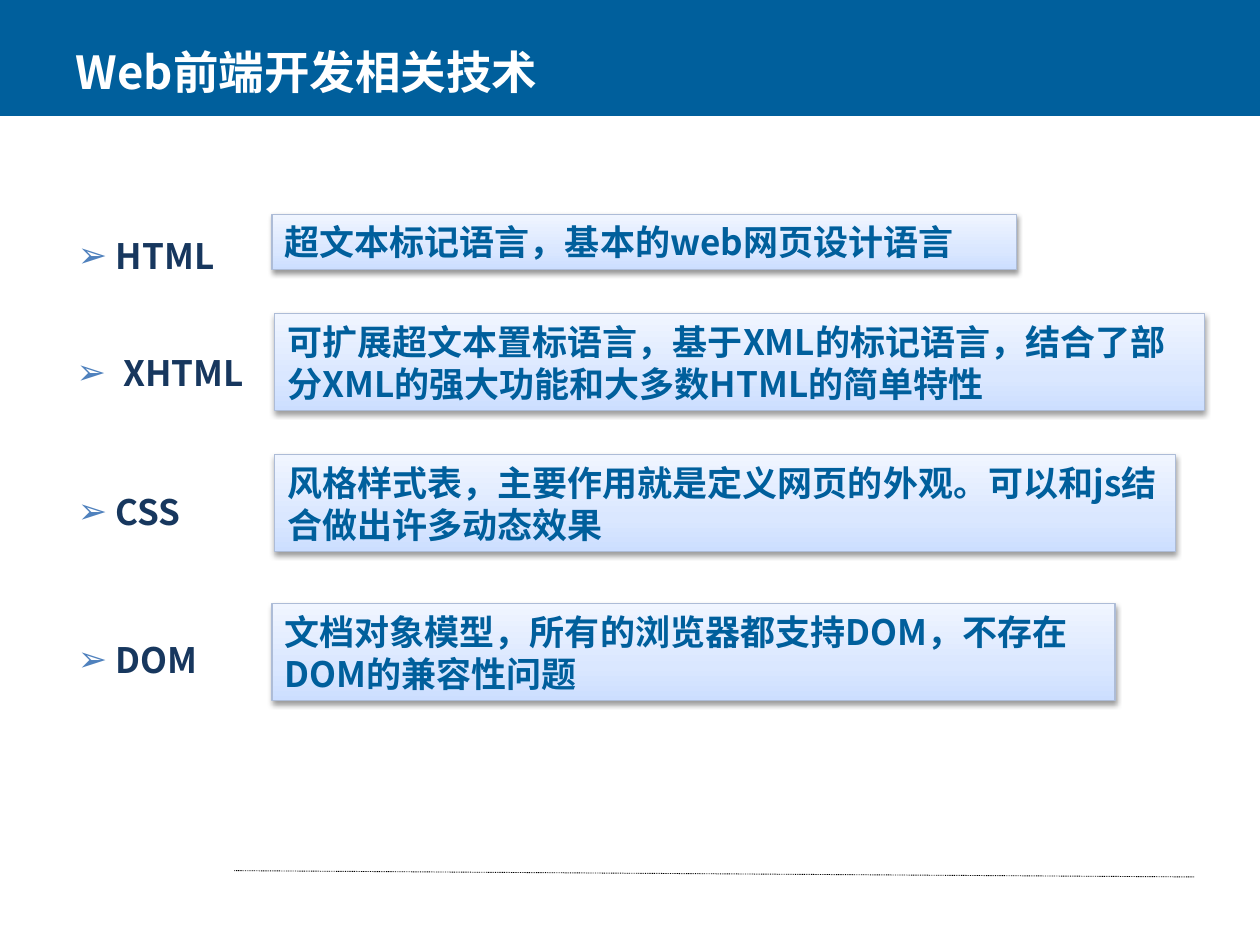
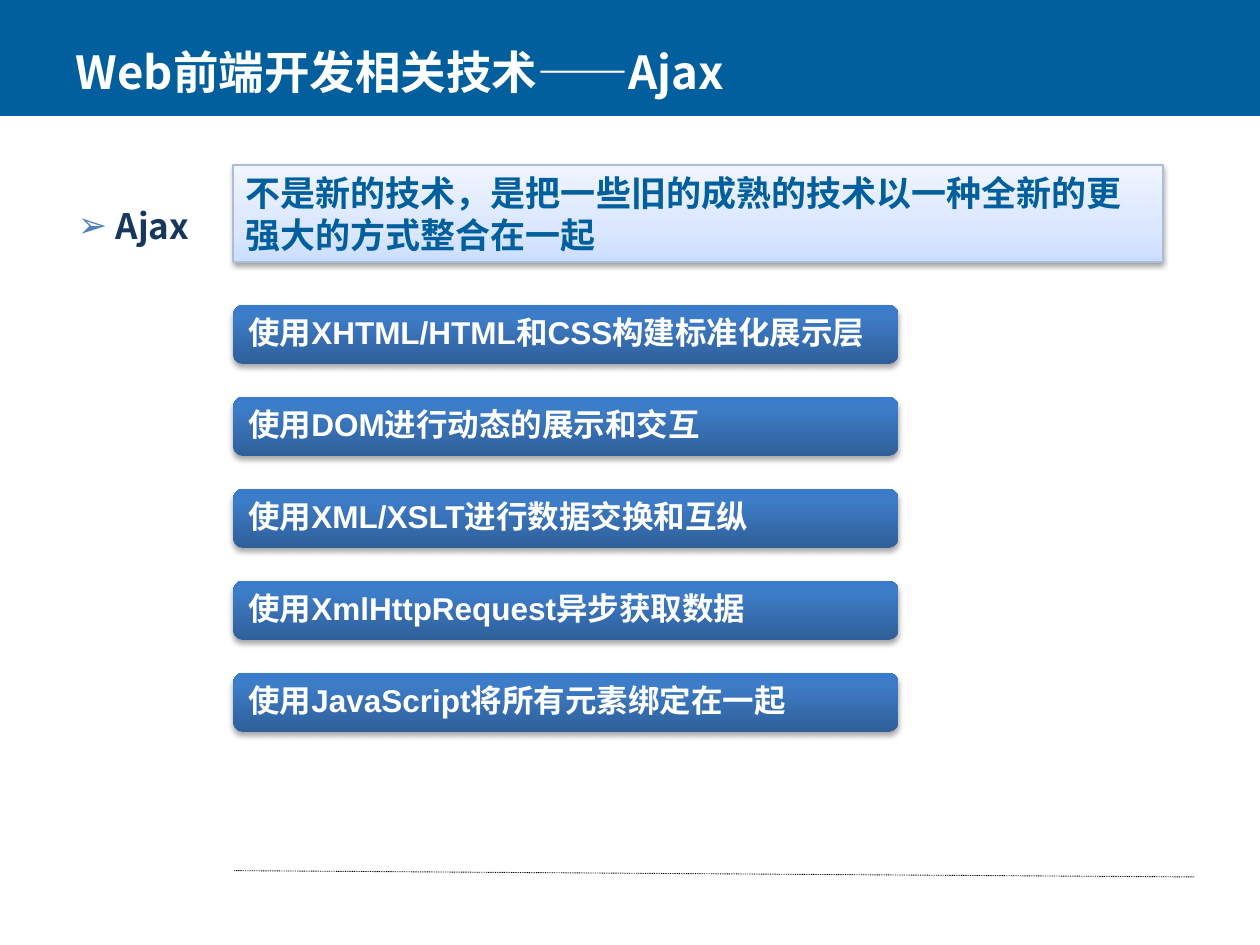
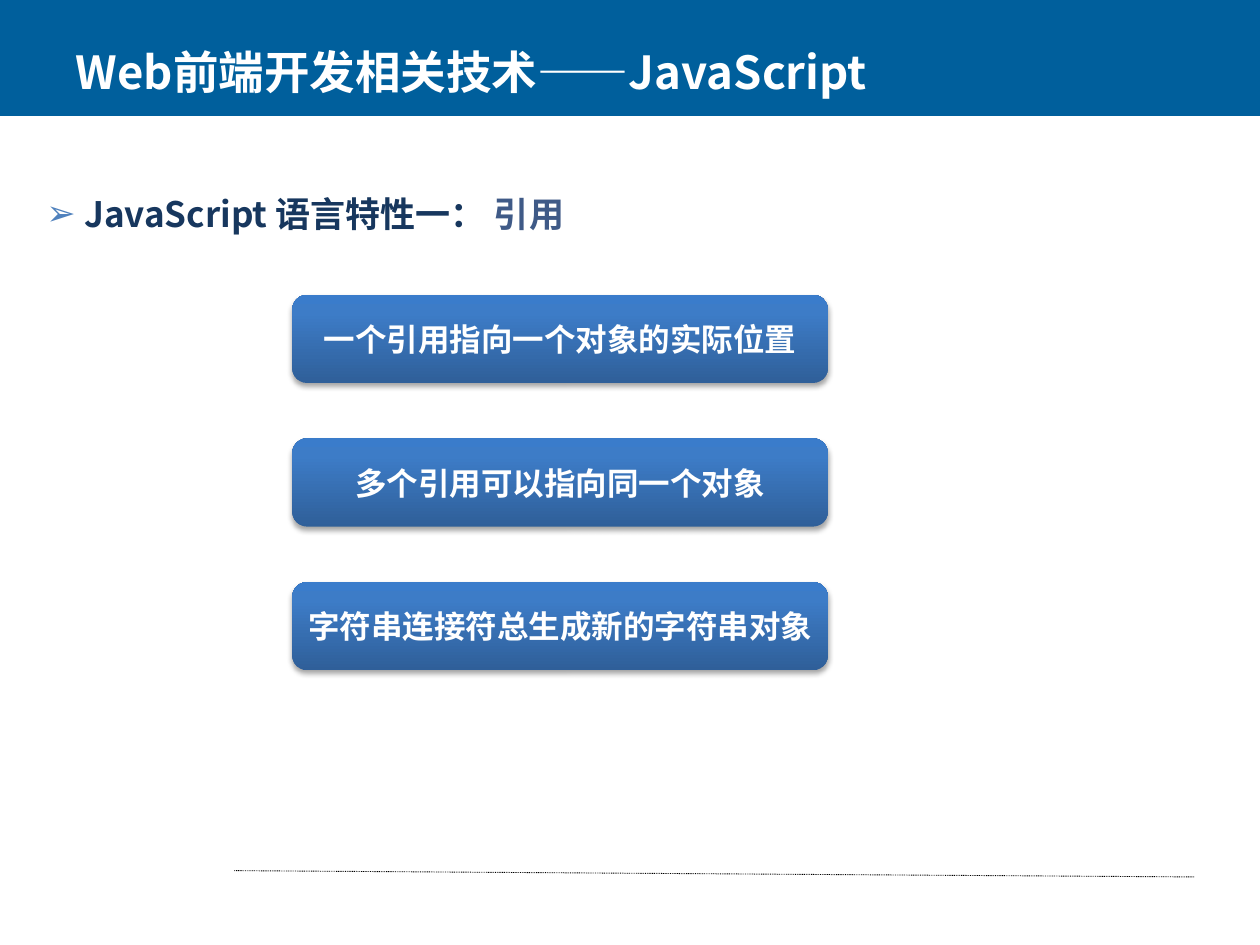
from lxml.etree import SubElement
from pptx import Presentation
from pptx.dml.color import RGBColor
from pptx.enum.dml import MSO_LINE
from pptx.enum.shapes import MSO_CONNECTOR, MSO_SHAPE
from pptx.enum.text import MSO_ANCHOR, PP_ALIGN
from pptx.oxml.ns import qn
from pptx.util import Inches, Pt

HUES = {"band": "005F9C", "white": "FFFFFF", "black": "000000", "navy": "17375E",
        "slate": "3F5A87", "mark": "4F81BD", "edge": "ADBCD7"}
INK = {name: RGBColor.from_string(code) for name, code in HUES.items()}

# Each look: gradient stops from bottom to top, shadow percent, shadow distance
LOOKS = {
    "pale": ([(0, "CCDEFF"), (35, "DAE7FF"), (100, "F0F5FF")], 38, 1.6),
    "deep": ([(0, "2F5F99"), (80, "3D7CC7"), (100, "3A7CCB")], 35, 1.8),
}
NOTO = "Noto Sans CJK SC"
TOPIC = "Web前端开发相关技术"
LINE = Pt(24)


def style(par, size, hue, face=NOTO):
    """Format every run; East Asian glyphs always use the Noto face."""
    for run in par.runs:
        font = run.font
        font.size, font.bold, font.name = Pt(size), True, face
        font.color.rgb = INK[hue]
        SubElement(run._r.get_or_add_rPr(), qn("a:ea"), typeface=NOTO)


def panel(slide, kind, look, text, left, top, width, height):
    """Add a gradient box with a soft shadow and left-aligned text."""
    shape = slide.shapes.add_shape(kind, Inches(left), Inches(top),
                                   Inches(width), Inches(height))
    stops, alpha, dist = LOOKS[look]
    props = shape.element.spPr

    # Gradient
    shape.fill.gradient()
    shape.fill.gradient_angle = 90
    ramp = props.find(".//" + qn("a:gsLst"))
    ramp.clear()
    for pos, code in stops:
        stop = SubElement(ramp, qn("a:gs"), pos=str(pos * 1000))
        SubElement(stop, qn("a:srgbClr"), val=code)
    shape.line.fill.background()

    # Shadow
    shape.shadow.inherit = False
    cast = SubElement(props.find(qn("a:effectLst")), qn("a:outerShdw"),
                      blurRad=str(Pt(3.1)), dist=str(Pt(dist)),
                      dir="5400000", rotWithShape="0")
    tint = SubElement(cast, qn("a:srgbClr"), val=HUES["black"])
    SubElement(tint, qn("a:alpha"), val=str(alpha * 1000))

    # Text
    frame = shape.text_frame
    frame.word_wrap = True
    frame.vertical_anchor = MSO_ANCHOR.MIDDLE
    frame.text = text
    frame.paragraphs[0].alignment = PP_ALIGN.LEFT
    return shape


deck = Presentation()
deck.slide_width, deck.slide_height = Inches(10), Inches(7.5)
plain = deck.slide_layouts[5]

# Slides and titles
pages = []
for tail in ["", "——Ajax", "——JavaScript"]:
    slide = deck.slides.add_slide(plain)
    title = slide.shapes.title
    title.left, title.top = Inches(0.5), Inches(0.3)
    title.width, title.height = Inches(9), Inches(0.61)
    frame = title.text_frame
    frame.text = TOPIC + tail
    frame.vertical_anchor = MSO_ANCHOR.MIDDLE
    frame.margin_top, frame.margin_bottom = 0, Inches(0.08)
    frame.paragraphs[0].alignment = PP_ALIGN.LEFT
    style(frame.paragraphs[0], 26, "white")
    pages.append(slide)
tech, ajax, script = pages

# Band and dotted rule
band = tech.shapes.add_shape(MSO_SHAPE.RECTANGLE, 0, 0, Inches(10), Inches(0.92))
band.shadow.inherit = False
band.fill.solid()
band.fill.fore_color.rgb = INK["band"]
band.line.fill.background()
rule = tech.shapes.add_connector(MSO_CONNECTOR.STRAIGHT, Inches(1.86), Inches(6.91),
                                 Inches(9.48), Inches(6.96))
rule.line.color.rgb = INK["black"]
rule.line.width = Pt(0.5)
rule.line.dash_style = MSO_LINE.ROUND_DOT
SubElement(rule.element.spPr, qn("a:effectLst"))

# Move both to the layout, behind its placeholders, so all slides share them
for num, part in enumerate([band, rule]):
    part.element.xpath(".//p:cNvPr")[0].set("id", str(90 + num))
    plain.shapes.element.insert(2 + num, part.element)

# Bulleted labels: slide, text, slate tail, indent, left, top, width, height
labels = [
    (tech, "HTML", "", 0.3, 0.52, 1.48, 2.69, 0.78),
    (tech, "XHTML", "", 0.37, 0.51, 2.41, 2.2, 0.78),
    (tech, "CSS", "", 0.3, 0.52, 3.51, 1.36, 0.94),
    (tech, "DOM", "", 0.3, 0.52, 4.69, 1.47, 0.77),
    (ajax, "Ajax", "", 0.3, 0.52, 1.24, 1.66, 0.78),
    (script, "JavaScript 语言特性一： ", "引用", 0.3, 0.27, 1.15, 6.14, 0.93),
]
for slide, text, tail, dent, *spot in labels:
    frame = slide.shapes.add_textbox(*map(Inches, spot)).text_frame
    frame.word_wrap = True
    frame.margin_top = Inches(0.38)
    par = frame.paragraphs[0]
    par.text = text
    par.line_spacing = LINE
    if tail:
        par.add_run().text = tail
    style(par, 20, "navy")
    if tail:
        par.runs[-1].font.color.rgb = INK["slate"]

    # Hanging arrow bullet
    props = par._p.get_or_add_pPr()
    props.set("marL", str(Inches(dent)))
    props.set("indent", str(-Inches(dent)))
    SubElement(SubElement(props, qn("a:buClr")), qn("a:srgbClr"), val=HUES["mark"])
    SubElement(props, qn("a:buFont"), typeface="Arial")
    SubElement(props, qn("a:buChar"), char="➢")

# Pale notes: slide, text, left, top, width, height
notes = [
    (tech, "超文本标记语言，基本的web网页设计语言", 2.16, 1.7, 5.91, 0.44),
    (tech, "可扩展超文本置标语言，基于XML的标记语言，结合了部分XML的强大功能"
           "和大多数HTML的简单特性", 2.18, 2.49, 7.38, 0.77),
    (tech, "风格样式表，主要作用就是定义网页的外观。可以和js结合做出许多动态效果",
     2.18, 3.61, 7.15, 0.77),
    (tech, "文档对象模型，所有的浏览器都支持DOM，不存在DOM的兼容性问题",
     2.16, 4.79, 6.69, 0.77),
    (ajax, "不是新的技术，是把一些旧的成熟的技术以一种全新的更强大的方式整合在一起",
     1.85, 1.31, 7.38, 0.77),
]
for slide, text, *spot in notes:
    note = panel(slide, MSO_SHAPE.RECTANGLE, "pale", text, *spot)
    note.line.color.rgb = INK["edge"]
    note.line.width = Pt(0.75)
    par = note.text_frame.paragraphs[0]
    par.line_spacing = LINE
    style(par, 20, "band")

# Ajax steps
steps = ["使用XHTML/HTML和CSS构建标准化展示层", "使用DOM进行动态的展示和交互",
         "使用XML/XSLT进行数据交换和互纵", "使用XmlHttpRequest异步获取数据",
         "使用JavaScript将所有元素绑定在一起"]
for row, text in enumerate(steps):
    bar = panel(ajax, MSO_SHAPE.ROUNDED_RECTANGLE, "deep", text,
                1.85, 2.42 + 0.73 * row, 5.28, 0.47)
    bar.text_frame.margin_right = 0
    par = bar.text_frame.paragraphs[0]
    par.line_spacing = 0.9
    style(par, 18, "white", "Arial")

# JavaScript reference facts
facts = ["一个引用指向一个对象的实际位置", "多个引用可以指向同一个对象",
         "字符串连接符总生成新的字符串对象"]
for row, text in enumerate(facts):
    bar = panel(script, MSO_SHAPE.ROUNDED_RECTANGLE, "deep", text,
                2.32, 2.34 + 1.14 * row, 4.25, 0.7)
    frame = bar.text_frame
    frame.margin_left = frame.margin_right = 0
    par = frame.paragraphs[0]
    par.alignment = PP_ALIGN.CENTER
    style(par, 18, "white", "Arial")

deck.save("out.pptx")
